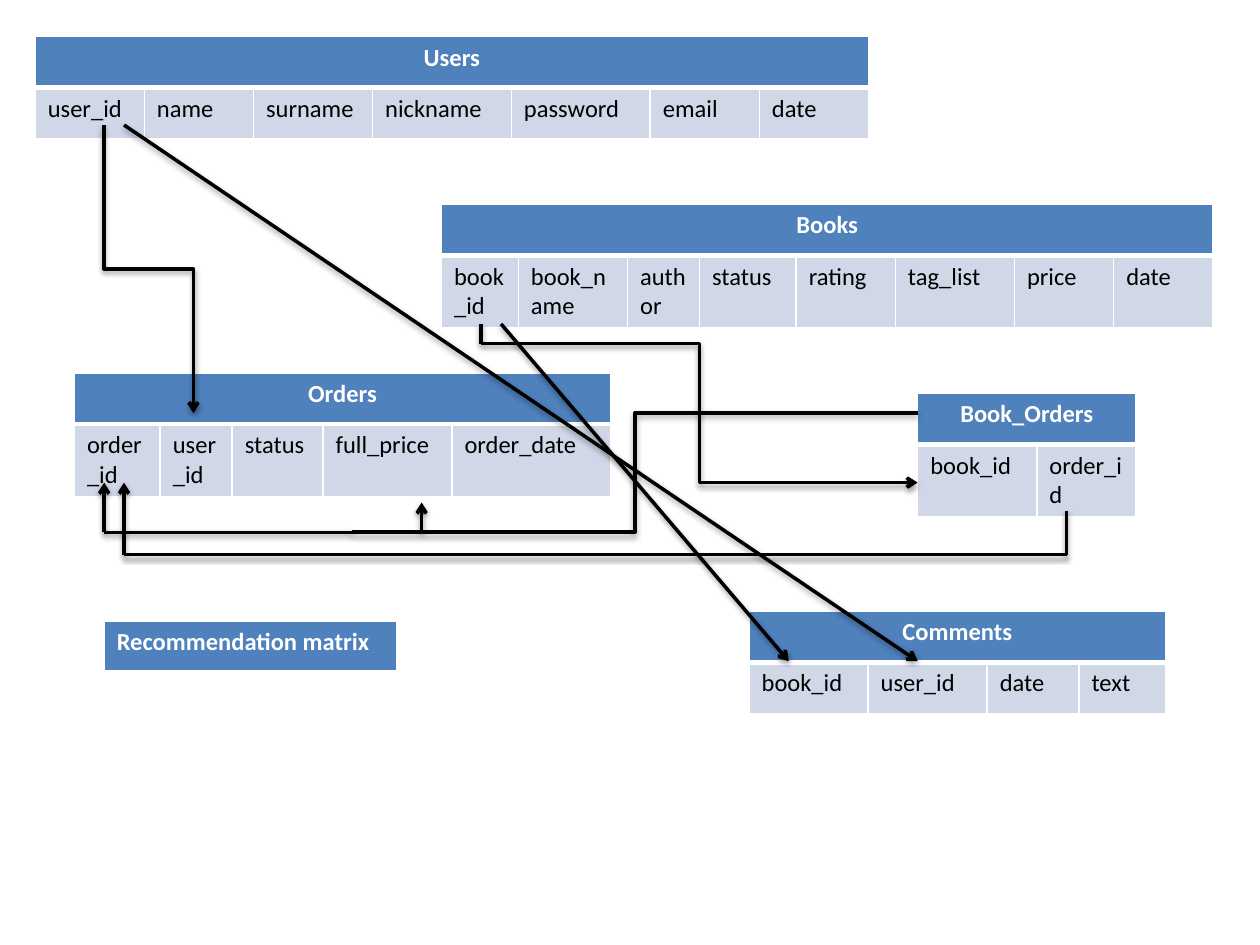
from typing import NamedTuple

import lxml.etree
import pptx
import pptx.dml.color
import pptx.enum.shapes
import pptx.enum.text
import pptx.oxml.ns
import pptx.util

Cm, Pt = pptx.util.Cm, pptx.util.Pt
qn = pptx.oxml.ns.qn
KIND = pptx.enum.shapes.MSO_CONNECTOR
ALIGN = pptx.enum.text.PP_ALIGN

COLORS = {"head": "4F81BD", "body": "D0D8E8", "white": "FFFFFF", "black": "000000"}
FONT = {"name": "Calibri", "size": Pt(14)}
ROW_HEIGHT = 1.03


class Entity(NamedTuple):
    """A database table: position and column widths in cm."""
    title: str
    x: float
    y: float
    widths: list[float]
    fields: list[str]


class Link(NamedTuple):
    """A line between two points in cm."""
    start: tuple[float, float]
    end: tuple[float, float]
    arrow: bool = False
    bent: bool = False
    upright: bool = False  # an elbow that leaves vertically


ENTITIES = [
    Entity("Users", 0.71, 0.74, [2.2, 2.2, 2.4, 2.8, 2.8, 2.2, 2.2],
           ["user_id", "name", "surname", "nickname", "password", "email", "date"]),
    Entity("Books", 8.9, 4.12, [1.55, 2.2, 1.45, 1.95, 2, 2.4, 2, 2],
           ["book_id", "book_name", "author", "status", "rating", "tag_list", "price", "date"]),
    Entity("Book_Orders", 18.5, 7.93, [2.4, 2], ["book_id", "order_id"]),
    Entity("Orders", 1.5, 7.52, [1.73, 1.45, 1.83, 2.6, 3.2],
           ["order_id", "user_id", "status", "full_price", "order_date"]),
    Entity("Comments", 15.1, 12.32, [2.4, 2.4, 1.85, 1.75],
           ["book_id", "user_id", "date", "text"]),
    Entity("Recommendation matrix", 2.1, 12.52, [5.9], []),
]

LINKS = [
    # Users to Orders
    Link((2.1, 2.52), (3.9, 8.33), arrow=True, bent=True, upright=True),
    # Books to Book_Orders
    Link((9.7, 6.93), (18.5, 9.73), arrow=True, bent=True),
    Link((9.7, 6.93), (9.7, 6.53)),
    # Book_Orders to Orders
    Link((18.5, 8.33), (7.1, 10.73), bent=True),
    Link((7.1, 10.73), (2.1, 10.73)),
    Link((2.1, 10.73), (2.1, 9.73), arrow=True),
    Link((8.5, 10.73), (8.5, 10.13), arrow=True),
    Link((21.5, 10.3), (21.5, 11.18)),
    Link((21.5, 11.18), (2.5, 11.18)),
    Link((2.5, 11.18), (2.5, 9.73), arrow=True),
    # Books and Users to Comments
    Link((10.1, 6.53), (15.9, 13.33), arrow=True),
    Link((2.5, 2.52), (18.5, 13.33), arrow=True),
]


def rgb(name: str) -> pptx.dml.color.RGBColor:
    return pptx.dml.color.RGBColor.from_string(COLORS[name])


def sub(parent, tag: str, **attrs):
    return lxml.etree.SubElement(parent, qn(tag), {k: str(v) for k, v in attrs.items()})


def style_cell(cell, header: bool) -> None:
    cell.fill.solid()
    cell.fill.fore_color.rgb = rgb("head" if header else "body")
    # White borders, thick between header and body
    thick = "a:lnB" if header else "a:lnT"
    tcPr = cell._tc.get_or_add_tcPr()
    for i, side in enumerate(("a:lnL", "a:lnR", "a:lnT", "a:lnB")):
        ln = sub(tcPr, side, w=Pt(3 if side == thick else 1))
        sub(sub(ln, "a:solidFill"), "a:srgbClr", val=COLORS["white"])
        tcPr.insert(i, ln)


def write_cell(cell, text: str, header: bool, centred: bool) -> None:
    p = cell.text_frame.paragraphs[0]
    p.alignment = ALIGN.CENTER if centred else ALIGN.LEFT
    r = p.add_run()
    r.text = text
    for key, value in {**FONT, "bold": header}.items():
        setattr(r.font, key, value)
    r.font.color.rgb = rgb("white" if header else "black")


def draw_entity(s, e: Entity) -> None:
    rows, cols = (2 if e.fields else 1), len(e.widths)
    tbl = s.shapes.add_table(rows, cols, Cm(e.x), Cm(e.y),
                             Cm(sum(e.widths)), Cm(ROW_HEIGHT * rows)).table
    for column, width in zip(tbl.columns, e.widths):
        column.width = Cm(width)
    for i, row in enumerate(tbl.rows):
        row.height = Cm(ROW_HEIGHT)
        for cell in row.cells:
            style_cell(cell, header=i == 0)
    if cols > 1:
        tbl.cell(0, 0).merge(tbl.cell(0, cols - 1))
    write_cell(tbl.cell(0, 0), e.title, header=True, centred=bool(e.fields))
    for j, field in enumerate(e.fields):
        write_cell(tbl.cell(1, j), field, header=False, centred=False)


def draw_link(s, link: Link) -> None:
    (x1, y1), (x2, y2) = link.start, link.end
    if link.upright:
        # Swap the extents about the centre, then turn by 270 degrees
        cx, cy, dx, dy = (x1 + x2) / 2, (y1 + y2) / 2, (x2 - x1) / 2, (y2 - y1) / 2
        x1, y1, x2, y2 = cx + dy, cy - dx, cx - dy, cy + dx
    kind = KIND.ELBOW if link.bent else KIND.STRAIGHT
    sp = s.shapes.add_connector(kind, Cm(x1), Cm(y1), Cm(x2), Cm(y2))
    spPr = sp._element.spPr
    if link.upright:
        spPr.find(qn("a:xfrm")).set("rot", str(270 * 60000))
    sp.line.width = Pt(2)
    sp.line.color.rgb = rgb("black")
    if link.arrow:
        sub(spPr.find(qn("a:ln")), "a:tailEnd", type="arrow")
    # Soft shadow below the line
    shadow = sub(sub(spPr, "a:effectLst"), "a:outerShdw", blurRad=40000, dist=20000,
                 dir=90 * 60000, rotWithShape=0)
    sub(sub(shadow, "a:srgbClr", val=COLORS["black"]), "a:alpha", val=38000)


prs = pptx.Presentation()
prs.slide_width, prs.slide_height = Cm(25.4), Cm(19.05)
s = prs.slides.add_slide(prs.slide_layouts[6])
for entity in ENTITIES:
    draw_entity(s, entity)
for link in LINKS:
    draw_link(s, link)
prs.save("out.pptx")
